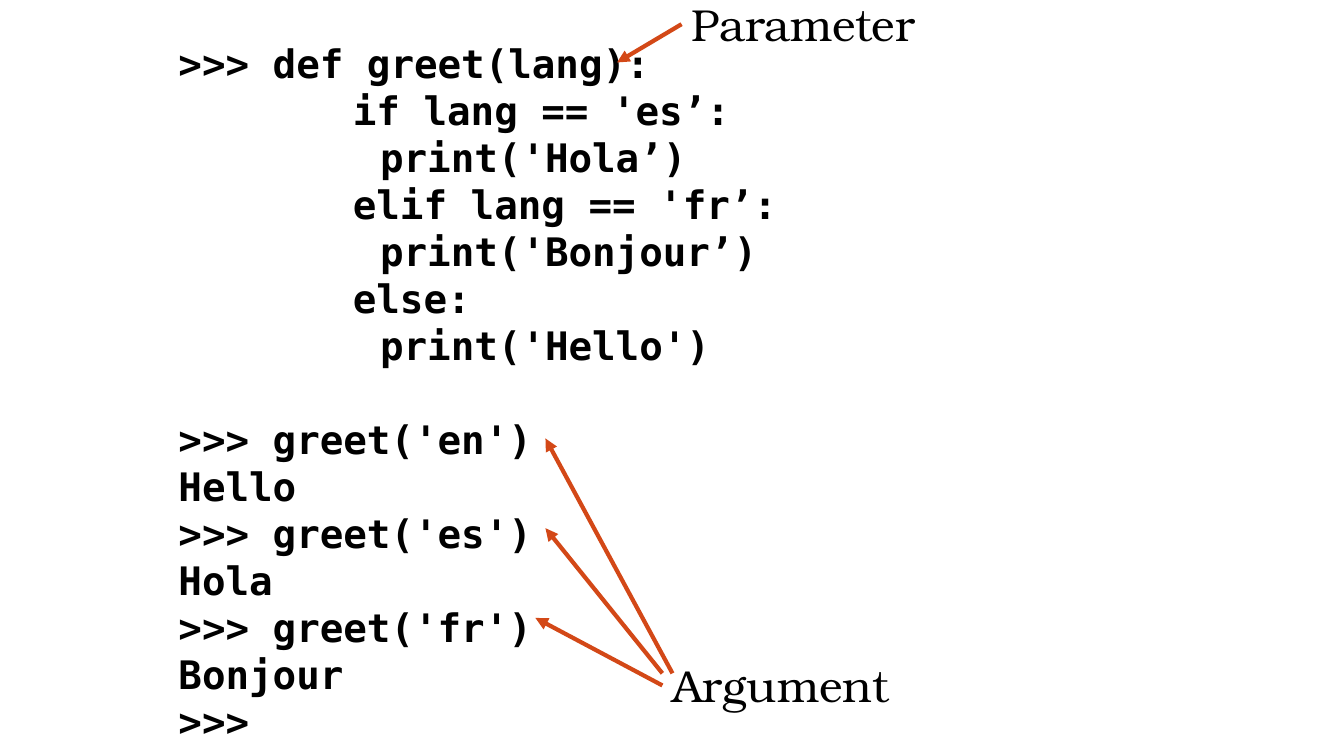
from pptx import Presentation
from pptx import util as u
from pptx.dml.color import RGBColor
from pptx.enum import shapes, text
from pptx.oxml import parse_xml
from pptx.oxml.ns import nsdecls

WIDE, HIGH = 13.33, 7.5
LINE = 33.6  # code line pitch, points
INDENT = [0, 1.73, 2.0]  # inches per code level

# Indent level and wording of each code line
DEF = [
    (0, ">>> def greet(lang):"),
    (1, "if lang == 'es’:"),
    (2, "print('Hola’)"),
    (1, "elif lang == 'fr’:"),
    (2, "print('Bonjour’)"),
    (1, "else:"),
    (2, "print('Hello')"),
]
CALLS = [
    (0, ">>> greet('en')"),
    (0, "Hello"),
    (0, ">>> greet('es')"),
    (0, "Hola"),
    (0, ">>> greet('fr')"),
    (0, "Bonjour"),
    (0, ">>>"),
]


def paint(code):
    return RGBColor.from_string(code)


def style(par, face, size, bold=False):
    for run in par.runs:
        font = run.font
        font.name, font.size, font.bold = face, u.Pt(size), bold
        font.color.rgb = paint("000000")


def add_code(slide, box):
    frame = slide.shapes.add_textbox(*map(u.Inches, box)).text_frame
    frame.word_wrap = True
    frame.vertical_anchor = text.MSO_ANCHOR.MIDDLE
    frame.margin_left = frame.margin_right = 0
    frame.margin_top = frame.margin_bottom = 0
    rows = DEF + CALLS
    frame.text = "\n".join(words for _, words in rows)
    for par, (level, _) in zip(frame.paragraphs, rows):
        style(par, "DejaVu Sans Mono", 28, True)
        par.line_spacing = u.Pt(LINE)
        par._p.get_or_add_pPr().set("marL", str(u.Inches(INDENT[level])))
    # One line of space parts the definition from its calls
    frame.paragraphs[len(DEF)].space_before = u.Pt(LINE)


def add_arrow(slide, start, end):
    line = slide.shapes.add_connector(
        shapes.MSO_CONNECTOR.STRAIGHT, *map(u.Inches, start + end))
    line.line.color.rgb = paint("D34817")
    line.line.width = u.Pt(3)
    line.line._get_or_add_ln().append(
        parse_xml(f'<a:tailEnd {nsdecls("a")} type="triangle"/>'))
    line._element.spPr.append(parse_xml(f'<a:effectLst {nsdecls("a")}/>'))


def add_label(slide, box, words, arrows):
    """Place a label; arrows start at offsets from its top left corner."""
    frame = slide.shapes.add_textbox(*map(u.Inches, box)).text_frame
    frame.word_wrap = True
    frame.text = words
    style(frame.paragraphs[0], "TeX Gyre Bonum", 32)
    left, top = box[:2]
    for (right, down), end in arrows:
        add_arrow(slide, (left + right, top + down), end)


def main():
    deck = Presentation()
    deck.slide_width, deck.slide_height = u.Inches(WIDE), u.Inches(HIGH)
    slide = deck.slides.add_slide(deck.slide_layouts[6])
    add_code(slide, (1.77, 0.51, 9.29, 6.75))
    add_label(slide, (6.76, -0.08, 2.59, 0.64), "Parameter",
              [((0, 0.32), (6.12, 0.62))])
    add_label(slide, (6.57, 6.48, 2.52, 0.64), "Argument",
              [((0, 0.32), (5.31, 6.13)),
               ((0, 0.2), (5.41, 5.24)),
               ((0.1, 0.2), (5.41, 4.35))])
    deck.save("out.pptx")


if __name__ == "__main__":
    main()
